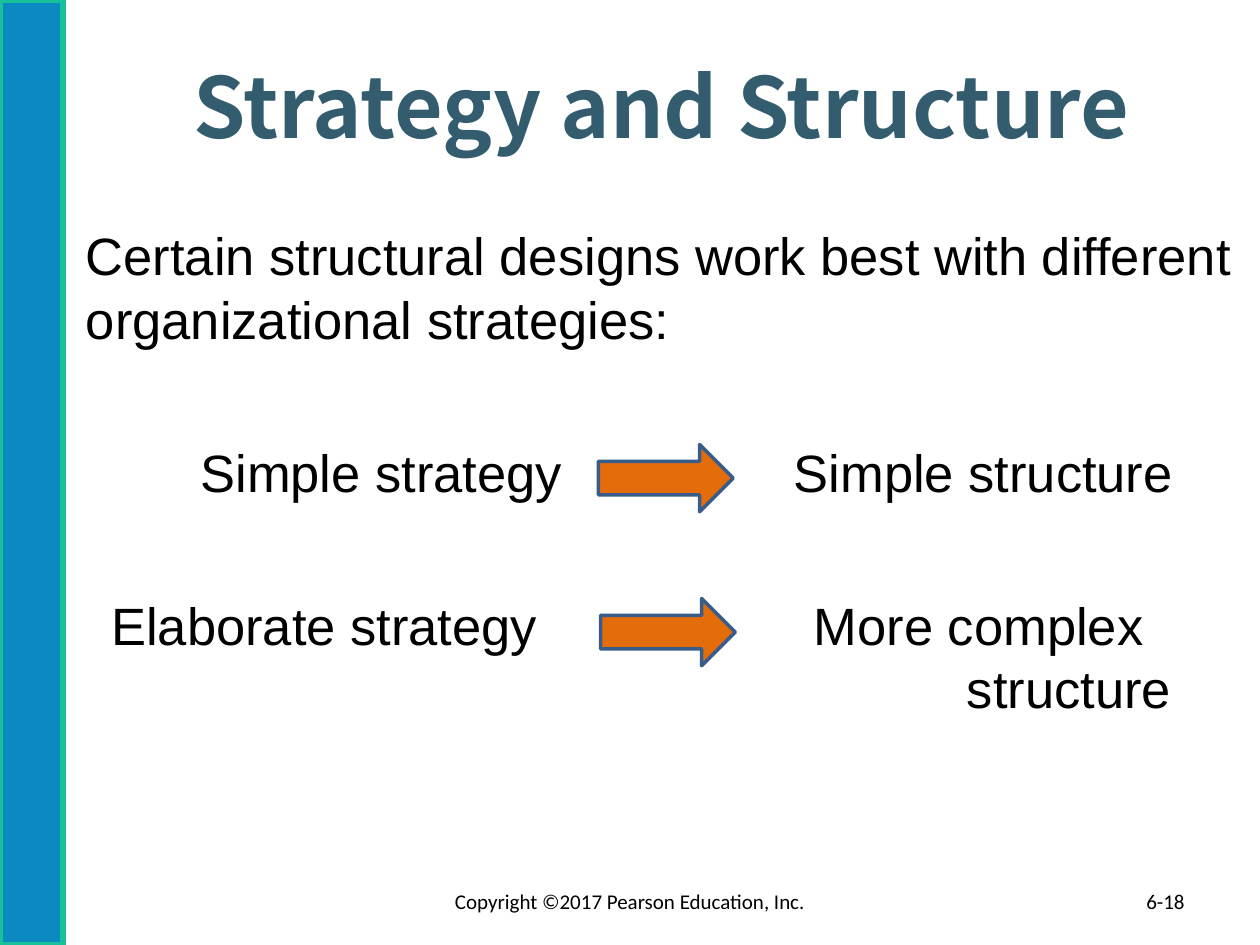
from dataclasses import dataclass

from pptx import Presentation
from pptx import util as u
from pptx.dml.color import RGBColor
from pptx.enum import shapes, text
from pptx.oxml import parse_xml
from pptx.oxml.ns import nsdecls


@dataclass(frozen=True)
class Theme:
    bar: str = "0B89C1"
    bar_edge: str = "17C199"
    heading: str = "335D6F"
    ink: str = "000000"
    arrow: str = "E46C0A"
    arrow_edge: str = "385D8A"
    heading_font: str = "Noto Sans CJK KR"
    body_font: str = "Arial"
    footer_font: str = "Calibri"
    heading_size: float = 48
    body_size: float = 30
    footer_size: float = 12
    body_line: float = 36.2
    row_gap: float = 51.2


def write(para, words, font, size, color, bold=False, align=text.PP_ALIGN.LEFT,
          line=None, before=0, tabs=()):
    if tabs:
        stops = "".join(f'<a:tab pos="{u.Pt(stop)}" algn="l"/>' for stop in tabs)
        para._p.get_or_add_pPr().append(
            parse_xml(f'<a:tabLst {nsdecls("a")}>{stops}</a:tabLst>'))
    para.alignment = align
    para.space_before = u.Pt(before)
    if line:
        para.line_spacing = u.Pt(line)
    for index, part in enumerate(words.split("\n")):
        if index:
            para.add_line_break()
        span = para.add_run()
        span.text = part
        span.font.name = font
        span.font.size = u.Pt(size)
        span.font.bold = bold
        span.font.color.rgb = RGBColor.from_string(color)


class Painter:
    def __init__(self, page, theme):
        self.page = page
        self.theme = theme

    def shape(self, kind, place, fill, edge, weight):
        shape = self.page.shapes.add_shape(kind, *map(u.Pt, place))
        shape.shadow.inherit = False
        shape.fill.solid()
        shape.fill.fore_color.rgb = RGBColor.from_string(fill)
        shape.line.color.rgb = RGBColor.from_string(edge)
        shape.line.width = u.Pt(weight)

    def bar(self, *place):
        self.shape(shapes.MSO_SHAPE.RECTANGLE, place,
                   self.theme.bar, self.theme.bar_edge, 3)

    def arrow(self, *place):
        self.shape(shapes.MSO_SHAPE.RIGHT_ARROW, place,
                   self.theme.arrow, self.theme.arrow_edge, 2)

    def frame(self, place, anchor):
        box = self.page.shapes.add_textbox(*map(u.Pt, place))
        box.text_frame.word_wrap = True
        box.text_frame.vertical_anchor = anchor
        return box.text_frame

    def title(self, words, *place):
        frame = self.frame(place, text.MSO_ANCHOR.MIDDLE)
        write(frame.paragraphs[0], words, self.theme.heading_font,
              self.theme.heading_size, self.theme.heading, bold=True,
              align=text.PP_ALIGN.CENTER)

    def body(self, intro, rows, *place):
        theme = self.theme
        frame = self.frame(place, text.MSO_ANCHOR.TOP)
        style = dict(font=theme.body_font, size=theme.body_size,
                     color=theme.ink, line=theme.body_line)
        write(frame.paragraphs[0], intro, **style)
        for words, tabs in rows:
            write(frame.add_paragraph(), words, before=theme.row_gap,
                  tabs=tabs, **style)

    def footer(self, words, align, *place):
        frame = self.frame(place, text.MSO_ANCHOR.MIDDLE)
        write(frame.paragraphs[0], words, self.theme.footer_font,
              self.theme.footer_size, self.theme.ink, align=align)


def main():
    deck = Presentation()
    deck.slide_width, deck.slide_height = u.Pt(720), u.Pt(540)
    page = deck.slides.add_slide(deck.slide_layouts[6])
    painter = Painter(page, Theme())

    painter.bar(0, 0, 36, 540)
    painter.title("Strategy and Structure", 54, 12, 648, 96)
    painter.body(
        "Certain structural designs work best with different organizational strategies:",
        [("\tSimple strategy\tSimple structure", (65.5, 404.5)),
         ("\tElaborate strategy\tMore complex\n\t\t\tstructure", (14.5, 416, 503.5))],
        42, 124, 678, 374)
    painter.footer("Copyright ©2017 Pearson Education, Inc.",
                   text.PP_ALIGN.CENTER, 246, 500.5, 228, 28.8)
    painter.footer("6-18", text.PP_ALIGN.RIGHT, 516, 500.5, 168, 28.8)
    painter.arrow(342, 254, 77, 38.4)
    painter.arrow(343.2, 342, 77, 38.4)

    deck.save("out.pptx")


if __name__ == "__main__":
    main()
